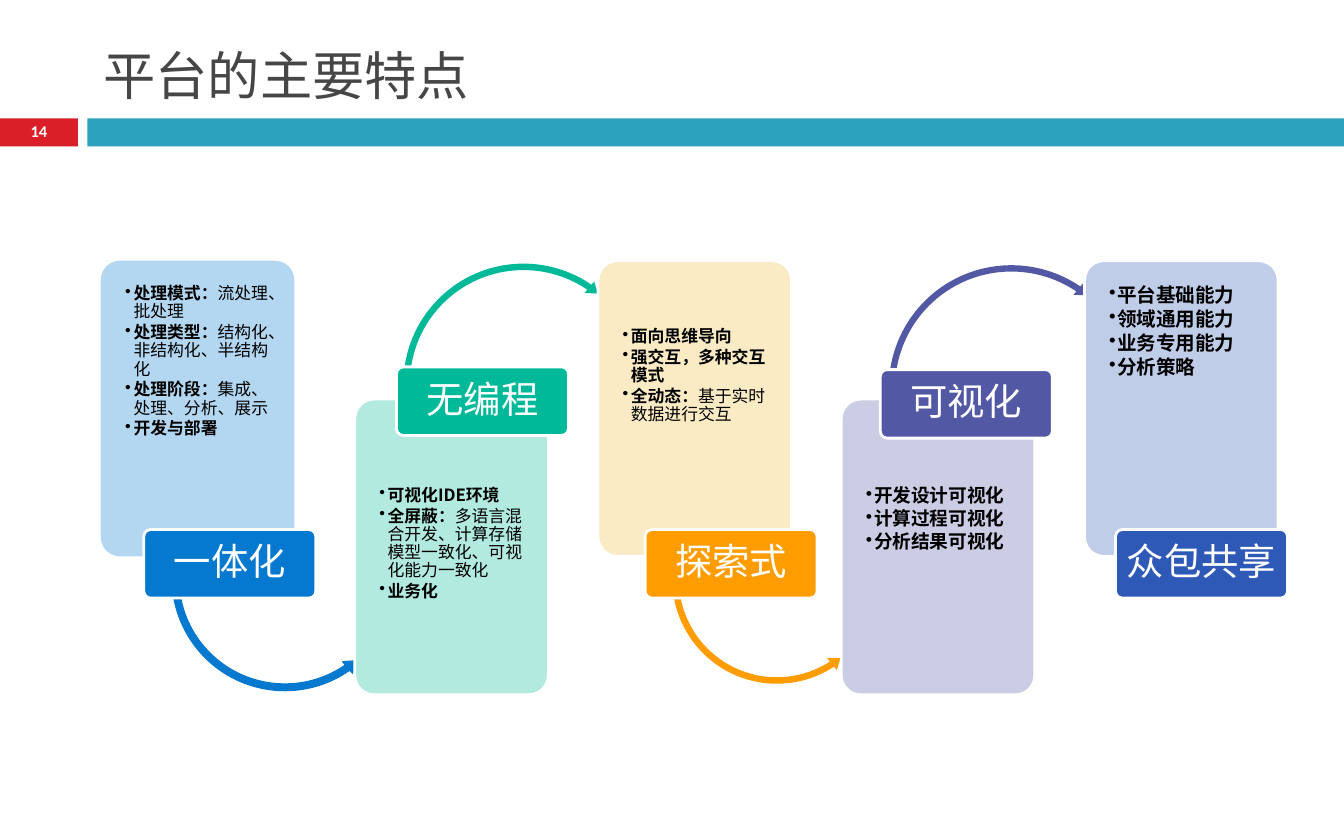
import pptx
import pptx.util
import pptx.dml.color
import pptx.enum.shapes
import pptx.enum.text
import pptx.oxml
import pptx.oxml.ns
from dataclasses import dataclass

SHAPES = pptx.enum.shapes.MSO_SHAPE
ALIGN = pptx.enum.text.PP_ALIGN
ANCHOR = pptx.enum.text.MSO_ANCHOR


@dataclass(frozen=True)
class Theme:
    white: str = "FFFFFF"
    black: str = "000000"
    title: str = "464646"
    red: str = "DA1F28"
    teal: str = "2DA2BF"
    latin: str = "Calibri"
    chinese: str = "Noto Sans CJK SC"
    title_size: float = 28
    label_size: float = 20
    number_size: float = 8.8
    outline: float = 1.5


@dataclass(frozen=True)
class Step:
    name: str
    left: float
    top: float
    label: tuple
    color: str
    tint: str
    size: float
    text_drop: float
    items: tuple
    outline: float = 1.5
    arrow: tuple = ()


def add_text(paragraph, text, *, size, color, font, east_asian, bold=False):
    run = paragraph.add_run()
    run.text = text
    run.font.size = pptx.util.Pt(size)
    run.font.bold = bold
    run.font.name = font
    run.font.color.rgb = pptx.dml.color.RGBColor.from_string(color)
    properties = run.font._element
    element = pptx.oxml.parse_xml(
        f'<a:ea {pptx.oxml.ns.nsdecls("a")} typeface="{east_asian}"/>')
    properties.find(pptx.oxml.ns.qn("a:latin")).addnext(element)


class SlideBuilder:
    columns = 100
    panel_size = (14.4, 22)
    label_size = (12.8, 5.1)

    def __init__(self, presentation, theme):
        self.theme = theme
        self.cell = presentation.slide_width / self.columns
        self.slide = presentation.slides.add_slide(presentation.slide_layouts[5])

    def length(self, cells):
        return pptx.util.Emu(round(cells * self.cell))

    def title(self, text, *box):
        shape = self.slide.shapes.title
        shape.left, shape.top, shape.width, shape.height = map(self.length, box)
        frame = shape.text_frame
        frame.auto_size = pptx.enum.text.MSO_AUTO_SIZE.NONE
        frame.vertical_anchor = ANCHOR.BOTTOM
        paragraph = frame.paragraphs[0]
        paragraph.alignment = ALIGN.LEFT
        add_text(paragraph, text, size=self.theme.title_size, color=self.theme.title,
                 font=self.theme.chinese, east_asian=self.theme.chinese)

    def block(self, kind, box, fill, line=None, line_width=0, adjustments=()):
        shape = self.slide.shapes.add_shape(kind, *map(self.length, box))
        shape.shadow.inherit = False
        shape.fill.solid()
        shape.fill.fore_color.rgb = pptx.dml.color.RGBColor.from_string(fill)
        if line_width:
            shape.line.color.rgb = pptx.dml.color.RGBColor.from_string(line)
            shape.line.width = pptx.util.Pt(line_width)
        else:
            shape.line.fill.background()
        for index, value in enumerate(adjustments):
            shape.adjustments[index] = value
        return shape

    def margins(self, frame, left, top, right, bottom):
        frame.word_wrap = True
        frame.margin_left, frame.margin_top = self.length(left), self.length(top)
        frame.margin_right, frame.margin_bottom = self.length(right), self.length(bottom)

    def caption(self, shape, text, size, bold=False):
        frame = shape.text_frame
        self.margins(frame, 0.2, 0.2, 0.2, 0.2)
        frame.vertical_anchor = ANCHOR.MIDDLE
        paragraph = frame.paragraphs[0]
        paragraph.alignment = ALIGN.CENTER
        paragraph.line_spacing = 0.9
        add_text(paragraph, text, size=size, color=self.theme.white, bold=bold,
                 font=self.theme.latin, east_asian=self.theme.chinese)

    def bullets(self, shape, items, size, drop):
        frame = shape.text_frame
        self.margins(frame, 1.4, 1.4 + drop, 1.4, 0)
        frame.vertical_anchor = ANCHOR.TOP
        for index, (strong, plain) in enumerate(items):
            paragraph = frame.add_paragraph() if index else frame.paragraphs[0]
            paragraph.alignment = ALIGN.LEFT
            paragraph.line_spacing = 0.9
            paragraph.space_after = pptx.util.Pt(size * 0.15)
            properties = paragraph._p.get_or_add_pPr()
            indent = self.length(0.62)
            properties.set("marL", str(indent))
            properties.set("indent", str(-indent))
            properties.append(pptx.oxml.parse_xml(
                f'<a:buChar {pptx.oxml.ns.nsdecls("a")} char="•"/>'))
            for text, bold in ((strong, True), (plain, False)):
                if text:
                    add_text(paragraph, text, size=size, color=self.theme.black, bold=bold,
                             font=self.theme.chinese, east_asian=self.theme.chinese)

    def step(self, step):
        panel = self.block(SHAPES.ROUNDED_RECTANGLE, (step.left, step.top, *self.panel_size),
                           step.tint, self.theme.white, step.outline, (0.1,))
        self.bullets(panel, step.items, step.size, step.text_drop)
        if step.arrow:
            kind, left, top, side, line_width, adjustments = step.arrow
            self.block(kind, (left, top, side, side), step.color, step.color,
                       line_width, adjustments)
        label = self.block(SHAPES.ROUNDED_RECTANGLE, (*step.label, *self.label_size),
                           step.color, self.theme.white, self.theme.outline, (0.1,))
        self.caption(label, step.name, self.theme.label_size)


UPPER, LOWER = 19.4, 29.7
UNDER, OVER = SHAPES.LEFT_CIRCULAR_ARROW, SHAPES.CIRCULAR_ARROW
PANEL_LEFTS = [7.5] + [26.4 + 18.1 * index for index in range(4)]

STEPS = [
    Step("一体化", PANEL_LEFTS[0], UPPER, (10.7, 39.4), "0579D0", "B4D7F1", 9, 0,
         (("处理模式：", "流处理、批处理"), ("处理类型：", "结构化、非结构化、半结构化"),
          ("处理阶段：", "集成、处理、分析、展示"), ("开发与部署", "")), outline=0,
         arrow=(UNDER, 12.5, 34.3, 17.4, 0.75, (0.028, 3.374, 32.991, 102.107, 0.032))),
    Step("无编程", PANEL_LEFTS[1], LOWER, (29.5, 27.3), "00B998", "B2EAE0", 9, 4.7,
         (("可视化IDE环境", ""),
          ("全屏蔽：", "多语言混合开发、计算存储模型一致化、可视化能力一致化"),
          ("业务化", "")),
         arrow=(OVER, 29.7, 19.3, 18.5, 0, (0.026, 3.147, 182.61, 113.268, 0.03))),
    Step("探索式", PANEL_LEFTS[2], UPPER, (48, 39.4), "FF9C00", "FAEBC5", 9, 3.2,
         (("面向思维导向", ""), ("强交互，多种交互模式", ""),
          ("全动态：", "基于实时数据进行交互")),
         arrow=(UNDER, 49.7, 35, 16.2, 0, (0.03, 3.628, 34.182, 103.043, 0.035))),
    Step("可视化", PANEL_LEFTS[3], LOWER, (65.5, 27.5), "5258A4", "CBCDE4", 10, 4.7,
         (("开发设计可视化", ""), ("计算过程可视化", ""), ("分析结果可视化", "")),
         arrow=(OVER, 65.8, 19.4, 18.9, 0, (0.025, 3.084, 182.502, 113.096, 0.03))),
    Step("众包共享", PANEL_LEFTS[4], UPPER, (83, 39.4), "2F59B6", "C0CDE9", 10.5, 0,
         (("平台基础能力", ""), ("领域通用能力", ""), ("业务专用能力", ""), ("分析策略", ""))),
]


def main():
    presentation = pptx.Presentation()
    presentation.slide_width = pptx.util.Inches(10)
    presentation.slide_height = pptx.util.Inches(6.25)
    theme = Theme()
    builder = SlideBuilder(presentation, theme)
    number = builder.block(SHAPES.RECTANGLE, (0, 8.8, 5.8, 2.1), theme.red)
    builder.caption(number, "14", theme.number_size, bold=True)
    builder.block(SHAPES.RECTANGLE, (6.5, 8.8, 93.5, 2.1), theme.teal)
    builder.title("平台的主要特点", 6.7, 1.4, 89.2, 7)
    for step in STEPS:
        builder.step(step)
    presentation.save("out.pptx")


if __name__ == "__main__":
    main()
